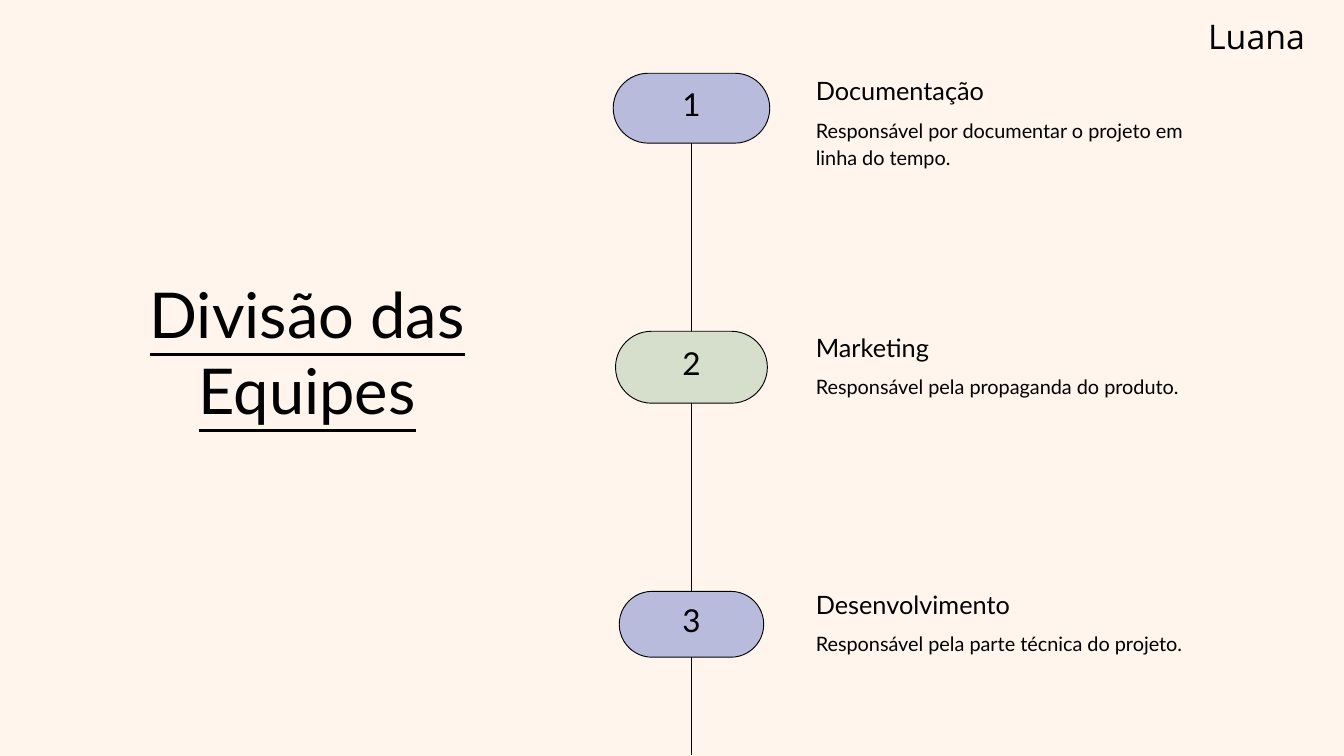
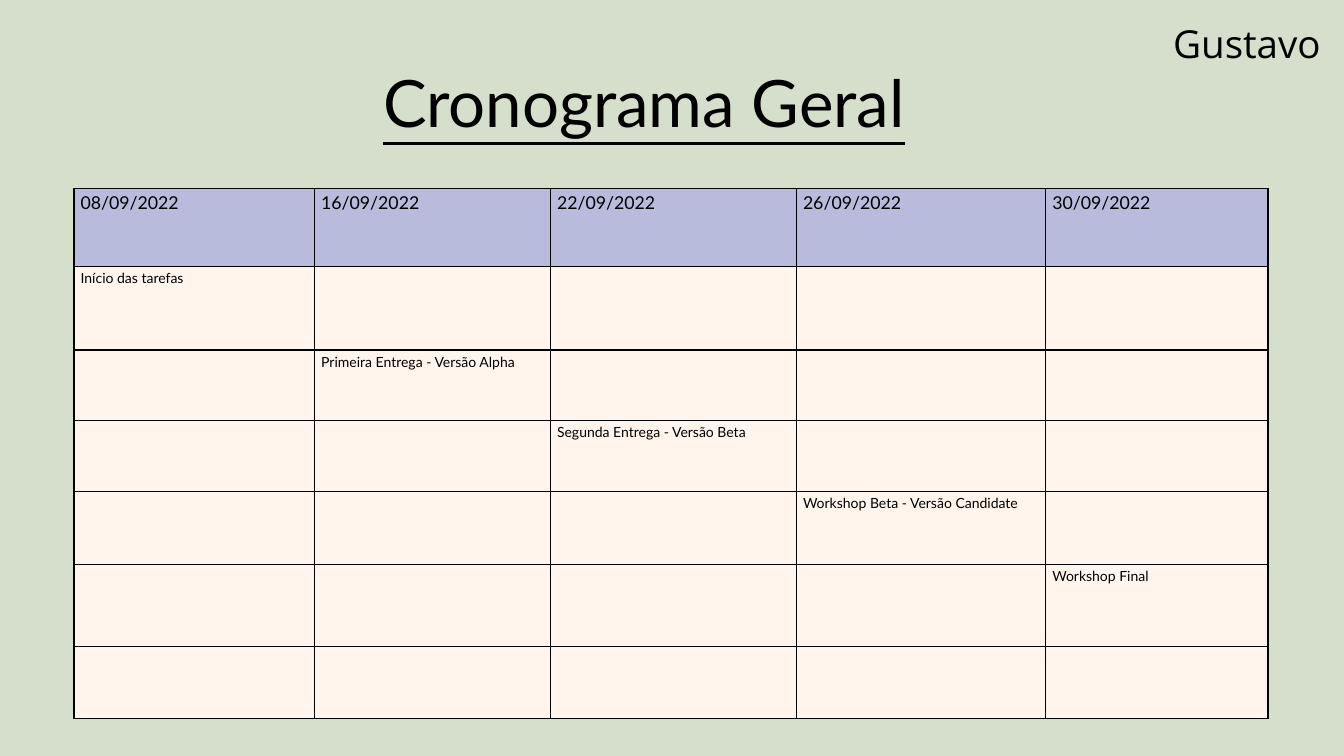
from dataclasses import dataclass

from lxml.etree import SubElement
from pptx import Presentation
from pptx.dml.color import RGBColor
from pptx.enum.shapes import MSO_CONNECTOR, MSO_SHAPE
from pptx.enum.text import PP_ALIGN
from pptx.oxml.ns import qn
from pptx.presentation import Presentation as Deck
from pptx.slide import Slide
from pptx.table import _Cell
from pptx.util import Inches, Pt

COLORS = {"ink": "000000", "white": "FFFFFF", "cream": "FFF5ED",
          "sage": "D6DFCC", "lilac": "B9BBDD"}
BODY_FONT = "Lato"
NAME_FONT = "Open Sans"
AXIS_X = 10.29
TEAM_TOP = 1.05
TEAM_PITCH = 3.82


@dataclass(frozen=True)
class TextStyle:
    size: float
    spacing: float
    font: str = BODY_FONT
    centered: bool = False
    underlined: bool = False


@dataclass(frozen=True)
class Team:
    name: str
    duty: str
    color: str
    pill_top: float
    pill_width: float
    pill_height: float


@dataclass(frozen=True)
class Milestone:
    date: str
    delivery: str
    width: float


TEAM_NAME = TextStyle(27.1, 37.9)
TEAM_DUTY = TextStyle(21.3, 29.8)
TEAM_NUMBER = TextStyle(33.8, 40.6, centered=True)

TEAMS = [
    Team("Documentação", "Responsável por documentar o projeto em linha do tempo.",
         "lilac", 1.09, 2.33, 1.04),
    Team("Marketing", "Responsável pela propaganda do produto.",
         "sage", 4.93, 2.26, 1.07),
    Team("Desenvolvimento", "Responsável pela parte técnica do projeto.",
         "lilac", 8.8, 2.15, 0.98),
]

MILESTONES = [
    Milestone("08/09/2022", "Início das tarefas", 3.58),
    Milestone("16/09/2022", "Primeira Entrega - Versão Alpha", 3.51),
    Milestone("22/09/2022", "Segunda Entrega - Versão Beta", 3.66),
    Milestone("26/09/2022", "Workshop Beta - Versão Candidate", 3.71),
    Milestone("30/09/2022", "Workshop Final", 3.31),
]
ROW_HEIGHTS = [1.16, 1.24, 1.05, 1.06, 1.08, 1.22, 1.07]


def rgb(color: str) -> RGBColor:
    return RGBColor.from_string(COLORS[color])


def add_page(deck: Deck, background: str) -> Slide:
    slide = deck.slides.add_slide(deck.slide_layouts[6])
    slide.background.fill.solid()
    slide.background.fill.fore_color.rgb = rgb(background)
    return slide


def add_text(slide: Slide, text: str, left: float, top: float,
             width: float, height: float, style: TextStyle) -> None:
    box = slide.shapes.add_textbox(Inches(left), Inches(top), Inches(width), Inches(height))
    frame = box.text_frame
    frame.word_wrap = True
    frame.margin_left = frame.margin_right = frame.margin_top = frame.margin_bottom = 0
    frame.text = text
    paragraph = frame.paragraphs[0]
    paragraph.line_spacing = Pt(style.spacing)
    paragraph.alignment = PP_ALIGN.CENTER if style.centered else PP_ALIGN.LEFT
    font = paragraph.runs[0].font
    font.name = style.font
    font.size = Pt(style.size)
    font.underline = style.underlined
    font.color.rgb = rgb("ink")


def add_backdrop(slide: Slide) -> None:
    backdrop = slide.shapes.add_shape(
        MSO_SHAPE.RECTANGLE, Inches(-0.47), Inches(-0.79), Inches(20.95), Inches(12.63))
    backdrop.shadow.inherit = False
    backdrop.fill.solid()
    backdrop.fill.fore_color.rgb = rgb("cream")
    backdrop.line.fill.background()


def add_axis(slide: Slide) -> None:
    axis = slide.shapes.add_connector(
        MSO_CONNECTOR.STRAIGHT, Inches(AXIS_X), Inches(1.2), Inches(AXIS_X), Inches(11.24))
    axis.line.color.rgb = rgb("ink")
    axis.line.width = Pt(0.75)
    SubElement(axis._element.spPr, qn("a:effectLst"))


def add_team(slide: Slide, index: int, team: Team) -> None:
    pill = slide.shapes.add_shape(
        MSO_SHAPE.ROUNDED_RECTANGLE, Inches(AXIS_X - team.pill_width / 2),
        Inches(team.pill_top), Inches(team.pill_width), Inches(team.pill_height))
    pill.adjustments[0] = 0.5
    pill.shadow.inherit = False
    pill.fill.solid()
    pill.fill.fore_color.rgb = rgb(team.color)
    pill.line.color.rgb = rgb("ink")
    pill.line.width = Pt(1)

    number_top = team.pill_top + team.pill_height / 2 - 0.35
    add_text(slide, str(index + 1), AXIS_X - 0.395, number_top, 0.79, 0.66, TEAM_NUMBER)
    top = TEAM_TOP + index * TEAM_PITCH
    add_text(slide, team.name, 12.14, top, 5.84, 0.55, TEAM_NAME)
    add_text(slide, team.duty, 12.14, top + 0.65, 5.84, 0.85, TEAM_DUTY)


def style_cell(cell: _Cell, color: str) -> None:
    properties = cell._tc.get_or_add_tcPr()
    for side in ("a:lnL", "a:lnR", "a:lnT", "a:lnB"):
        border = SubElement(properties, qn(side), w=str(Pt(1.5)))
        fill = SubElement(border, qn("a:solidFill"))
        SubElement(fill, qn("a:srgbClr"), val=COLORS["ink"])
    cell.fill.solid()
    cell.fill.fore_color.rgb = rgb(color)


def write_cell(cell: _Cell, text: str, size: float) -> None:
    cell.text_frame.text = text
    font = cell.text_frame.paragraphs[0].runs[0].font
    font.name = BODY_FONT
    font.size = Pt(size)
    font.color.rgb = rgb("ink")


def add_schedule(slide: Slide) -> None:
    schedule = slide.shapes.add_table(
        len(ROW_HEIGHTS), len(MILESTONES), Inches(1.1), Inches(2.81),
        Inches(sum(milestone.width for milestone in MILESTONES)),
        Inches(sum(ROW_HEIGHTS))).table
    schedule.first_row = False
    schedule.horz_banding = False
    for row, height in enumerate(ROW_HEIGHTS):
        schedule.rows[row].height = Inches(height)
        for column in range(len(MILESTONES)):
            style_cell(schedule.cell(row, column), "cream" if row else "lilac")
    for column, milestone in enumerate(MILESTONES):
        schedule.columns[column].width = Inches(milestone.width)
        write_cell(schedule.cell(0, column), milestone.date, 19)
        write_cell(schedule.cell(column + 1, column), milestone.delivery, 15)


def build_teams(deck: Deck) -> None:
    slide = add_page(deck, "white")
    add_backdrop(slide)
    add_axis(slide)
    add_text(slide, "Divisão das Equipes", 1.42, 4.1, 6.3, 2.45,
             TextStyle(67.7, 81.2, centered=True, underlined=True))
    for index, team in enumerate(TEAMS):
        add_team(slide, index, team)
    add_text(slide, "Luana", 17.95, 0.13, 1.5, 0.68,
             TextStyle(36.3, 50.8, NAME_FONT, centered=True))


def build_schedule(deck: Deck) -> None:
    slide = add_page(deck, "sage")
    add_schedule(slide)
    add_text(slide, "Cronograma Geral", 5.7, 0.92, 9.65, 1.36,
             TextStyle(70, 84, underlined=True))
    add_text(slide, "Gustavo", 15.35, 0.18, 6.41, 0.76,
             TextStyle(41.3, 57.8, NAME_FONT, centered=True))


def main() -> None:
    deck = Presentation()
    deck.slide_width = Inches(20)
    deck.slide_height = Inches(11.25)
    build_teams(deck)
    build_schedule(deck)
    deck.save("out.pptx")


if __name__ == "__main__":
    main()
